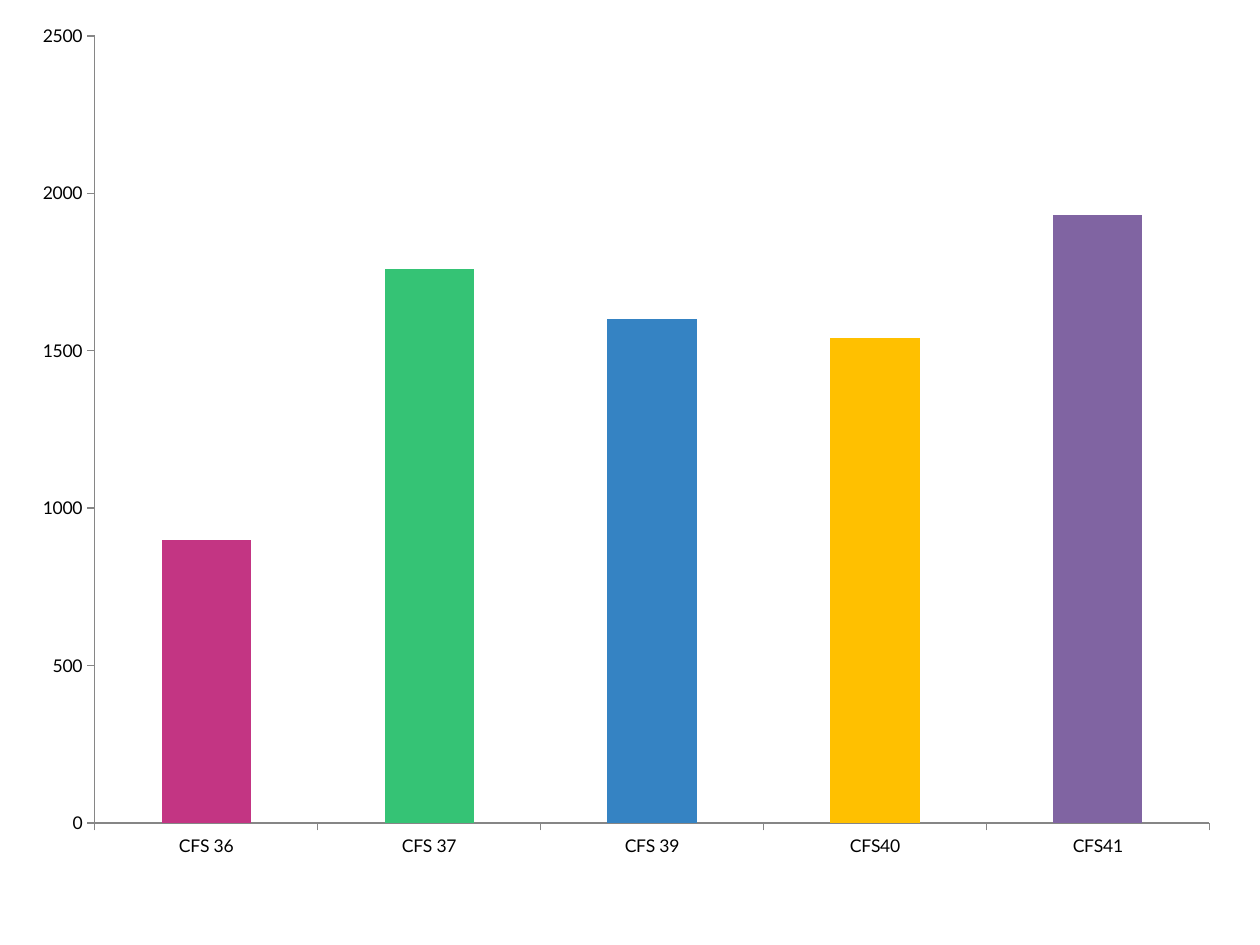
from lxml import etree
from pptx import Presentation
from pptx.chart.data import CategoryChartData
from pptx.dml.color import RGBColor
from pptx.enum.chart import XL_CHART_TYPE, XL_TICK_MARK
from pptx.oxml.ns import qn
from pptx.util import Inches, Pt

COLUMN = XL_CHART_TYPE.COLUMN_CLUSTERED
OUTSIDE, NO_TICK = XL_TICK_MARK.OUTSIDE, XL_TICK_MARK.NONE
BARS = [
    ("CFS 36", 900, "C33583"),
    ("CFS 37", 1760, "35C375"),
    ("CFS 39", 1600, "3583C3"),
    ("CFS40", 1540, "FFC000"),
    ("CFS41", 1930, "8064A2"),
]
CHART_BOX = (-0.03, 0, 10.03, 7.5)
PLOT_AREA = {"x": 0.078, "y": 0.038, "w": 0.882, "h": 0.833}
AXIS_FORMAT = {"has_major_gridlines": False, "major_tick_mark": OUTSIDE, "minor_tick_mark": NO_TICK}
SCALE = {"minimum_scale": 0, "maximum_scale": 2500, "major_unit": 500}


def rgb(value):
    """Return the colour for a hex string."""
    return RGBColor.from_string(value)


def set_format(obj, values):
    """Set each attribute named in a dict of format values."""
    for name, value in values.items():
        setattr(obj, name, value)


def fill_solid(fmt, color):
    """Give a chart format a solid fill."""
    fmt.fill.solid()
    fmt.fill.fore_color.rgb = rgb(color)


def place_plot(chart, area):
    """Fix the inner plot area as fractions of the chart."""
    plot_area = chart.plots[0]._element.getparent()
    layout = plot_area.find(qn("c:layout"))
    if layout is None:
        layout = etree.Element(qn("c:layout"))
        plot_area.insert(0, layout)
    manual = etree.SubElement(layout, qn("c:manualLayout"))
    values = {"layoutTarget": "inner", "xMode": "edge", "yMode": "edge", **area}
    for name, value in values.items():
        etree.SubElement(manual, qn("c:" + name), val=str(value))


def add_column_chart(slide, box, bars):
    """Place a column chart with one colour per bar in the box."""
    data = CategoryChartData(number_format="0")
    data.categories = [name for name, _, _ in bars]
    data.add_series("Series 1", [value for _, value, _ in bars])
    chart = slide.shapes.add_chart(COLUMN, *map(Inches, box), data).chart
    set_format(chart, {"has_legend": False, "has_title": False})
    set_format(chart.font, {"name": "Lato", "size": Pt(10)})
    chart.font.color.rgb = rgb("000000")
    plot = chart.plots[0]
    set_format(plot, {"gap_width": 150, "vary_by_categories": False})
    series = plot.series[0]
    fill_solid(series.format, "4F81BD")
    for i, (_, _, color) in enumerate(bars):
        fill_solid(series.points[i].format, color)
    for axis in (chart.category_axis, chart.value_axis):
        set_format(axis, AXIS_FORMAT)
        axis.format.line.color.rgb = rgb("868686")
        axis.format.line.width = Pt(0.75)
    set_format(chart.value_axis, SCALE)
    set_format(chart.value_axis.tick_labels, {"number_format": "0", "number_format_is_linked": False})
    place_plot(chart, PLOT_AREA)


def main():
    """Build and save the slide."""
    prs = Presentation()
    set_format(prs, {"slide_width": Inches(10), "slide_height": Inches(7.5)})
    slide = prs.slides.add_slide(prs.slide_layouts[6])
    add_column_chart(slide, CHART_BOX, BARS)
    prs.save("out.pptx")


main()
